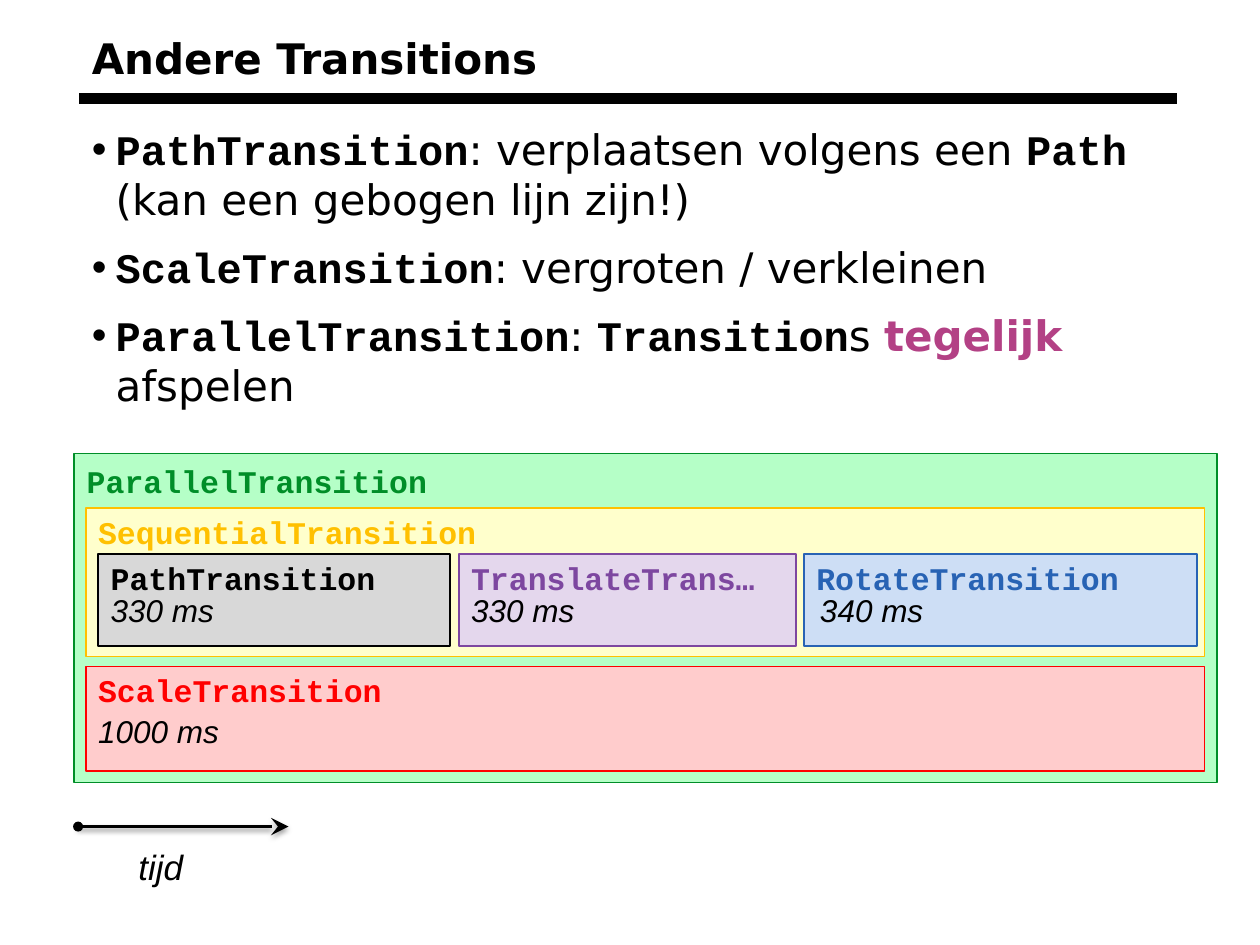
from dataclasses import dataclass

from lxml.etree import SubElement
from pptx import Presentation
from pptx.dml.color import RGBColor
from pptx.enum.shapes import MSO_CONNECTOR, MSO_SHAPE
from pptx.enum.text import MSO_ANCHOR
from pptx.oxml.ns import qn
from pptx.util import Inches, Pt


@dataclass(frozen=True)
class Theme:
    black: str = "000000"
    accent: str = "B34185"
    green: tuple = ("008E28", "B5FFC7")
    yellow: tuple = ("FFC000", "FFFFCC")
    gray: tuple = ("000000", "D8D8D8")
    purple: tuple = ("7D47A0", "E4D7ED")
    blue: tuple = ("2863B4", "CDDEF5")
    red: tuple = ("FF0000", "FFCCCC")
    sans: str = "DejaVu Sans"
    code: str = "Courier New"
    caption: str = "Arial"
    large: int = 24
    medium: int = 20
    small: int = 18


class SlideBuilder:
    columns = 100
    rows = 75

    def __init__(self, presentation, theme):
        self.theme = theme
        self.column = presentation.slide_width / self.columns
        self.row = presentation.slide_height / self.rows
        self.slide = presentation.slides.add_slide(presentation.slide_layouts[6])
        self.shapes = self.slide.shapes
        self.formats = {
            "title": {"name": theme.sans, "size": theme.large, "bold": True},
            "plain": {"name": theme.sans, "size": theme.large, "bold": False},
            "code": {"name": theme.code, "size": theme.large, "bold": True},
            "strong": {"name": theme.sans, "size": theme.large, "bold": True,
                       "color": theme.accent},
            "label": {"name": theme.code, "size": theme.small, "bold": True},
            "duration": {"name": theme.caption, "size": theme.small, "italic": True},
            "axis": {"name": theme.caption, "size": theme.medium, "italic": True},
        }

    def place(self, left, top, width, height):
        return [round(value * unit) for value, unit in
                zip((left, top, width, height), (self.column, self.row) * 2)]

    def run(self, paragraph, text, style, color=None):
        run = paragraph.add_run()
        run.text = text
        values = {"color": color or self.theme.black, **self.formats[style]}
        run.font.color.rgb = RGBColor.from_string(values.pop("color"))
        values["size"] = Pt(values["size"])
        for name, value in values.items():
            setattr(run.font, name, value)

    def frame(self, place, anchor=MSO_ANCHOR.TOP):
        frame = self.shapes.add_textbox(*self.place(*place)).text_frame
        frame.word_wrap = True
        frame.vertical_anchor = anchor
        return frame

    def text(self, place, text, style, color=None, anchor=MSO_ANCHOR.TOP):
        self.run(self.frame(place, anchor).paragraphs[0], text, style, color)

    def bullets(self, place, items):
        frame = self.frame(place)
        for index, item in enumerate(items):
            paragraph = frame.add_paragraph() if index else frame.paragraphs[0]
            paragraph.space_before = Pt(10 if index else 0)
            properties = paragraph._p.get_or_add_pPr()
            indent = Inches(0.19)
            properties.set("marL", str(indent))
            properties.set("indent", str(-indent))
            color = SubElement(properties, qn("a:buClr"))
            SubElement(color, qn("a:srgbClr"), val=self.theme.black)
            SubElement(properties, qn("a:buFont"), typeface=self.theme.caption)
            SubElement(properties, qn("a:buChar"), char="•")
            for text, style in item:
                self.run(paragraph, text, style)

    def shape(self, kind, place, fill, line=None):
        shape = self.shapes.add_shape(kind, *self.place(*place))
        shape.shadow.inherit = False
        shape.fill.solid()
        shape.fill.fore_color.rgb = RGBColor.from_string(fill)
        if line:
            shape.line.color.rgb = RGBColor.from_string(line)
            shape.line.width = Pt(1)
        else:
            shape.line.fill.background()

    def block(self, place, palette, label, label_drop=-0.1, duration=None):
        color, fill = palette
        left, top, width, height = place
        self.shape(MSO_SHAPE.RECTANGLE, place, fill, color)
        self.text((left, top + label_drop, width, 3.4), label, "label", color)
        if duration:
            shift, drop, text = duration
            self.text((left + shift, top + drop, 16, 4.9), text, "duration")

    def line(self, start, end, width, arrow=False):
        connector = self.shapes.add_connector(
            MSO_CONNECTOR.STRAIGHT, *self.place(*start, *end))
        connector.line.color.rgb = RGBColor.from_string(self.theme.black)
        connector.line.width = Pt(width)
        if arrow:
            SubElement(connector.line._get_or_add_ln(), qn("a:tailEnd"),
                       type="stealth", w="lg", len="lg")
        effects = SubElement(connector._element.spPr, qn("a:effectLst"))
        if arrow:
            shadow = SubElement(effects, qn("a:outerShdw"), blurRad=str(Pt(3.1)),
                                dist=str(Pt(1.6)), dir="5400000", rotWithShape="0")
            color = SubElement(shadow, qn("a:srgbClr"), val=self.theme.black)
            SubElement(color, qn("a:alpha"), val="38000")


def main():
    presentation = Presentation()
    presentation.slide_width = Inches(10)
    presentation.slide_height = Inches(7.5)
    theme = Theme()
    builder = SlideBuilder(presentation, theme)

    builder.line((6.3, 7.8), (93.4, 7.8), 6)
    builder.text((6.3, 1.4, 87.1, 6.4), "Andere Transitions", "title",
                 anchor=MSO_ANCHOR.MIDDLE)
    builder.bullets((6.3, 9.3, 85.8, 24.6), [
        [("PathTransition", "code"), (": verplaatsen volgens een ", "plain"),
         ("Path", "code"), (" (kan een gebogen lijn zijn!)", "plain")],
        [("ScaleTransition", "code"), (": vergroten / verkleinen", "plain")],
        [("ParallelTransition", "code"), (": ", "plain"), ("Transition", "code"),
         ("s ", "plain"), ("tegelijk ", "strong"), ("afspelen", "plain")],
    ])

    builder.block((5.9, 36, 90.7, 26.1), theme.green, "ParallelTransition", 0.2)
    builder.block((6.8, 40.3, 88.8, 11.8), theme.yellow, "SequentialTransition")
    steps = [
        (7.8, 27.9, theme.gray, "PathTransition", 0, "330 ms"),
        (36.4, 26.8, theme.purple, "TranslateTrans…", 0, "330 ms"),
        (63.8, 31.2, theme.blue, "RotateTransition", 0.3, "340 ms"),
    ]
    for left, width, palette, label, shift, duration in steps:
        builder.block((left, 44, width, 7.3), palette, label,
                      duration=(shift, 2.4, duration))
    builder.block((6.8, 52.9, 88.8, 8.3), theme.red, "ScaleTransition",
                  duration=(0, 3.1, "1000 ms"))

    builder.line((6.2, 65.6), (22.9, 65.6), 2, arrow=True)
    builder.shape(MSO_SHAPE.OVAL, (5.8, 65.2, 0.8, 0.8), theme.black)
    builder.text((10, 66.6, 7.2, 5.4), "tijd", "axis")

    presentation.save("out.pptx")


if __name__ == "__main__":
    main()
